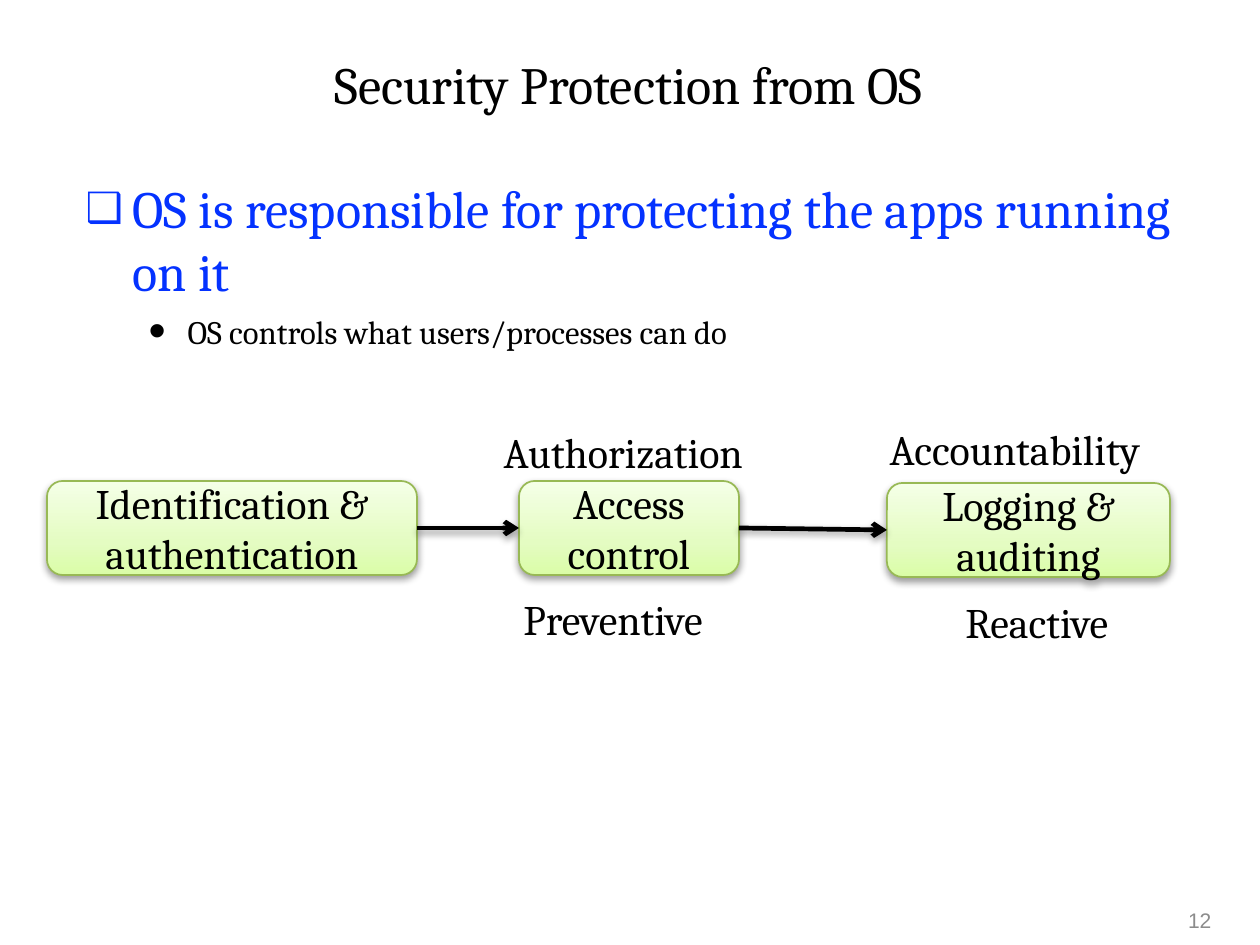
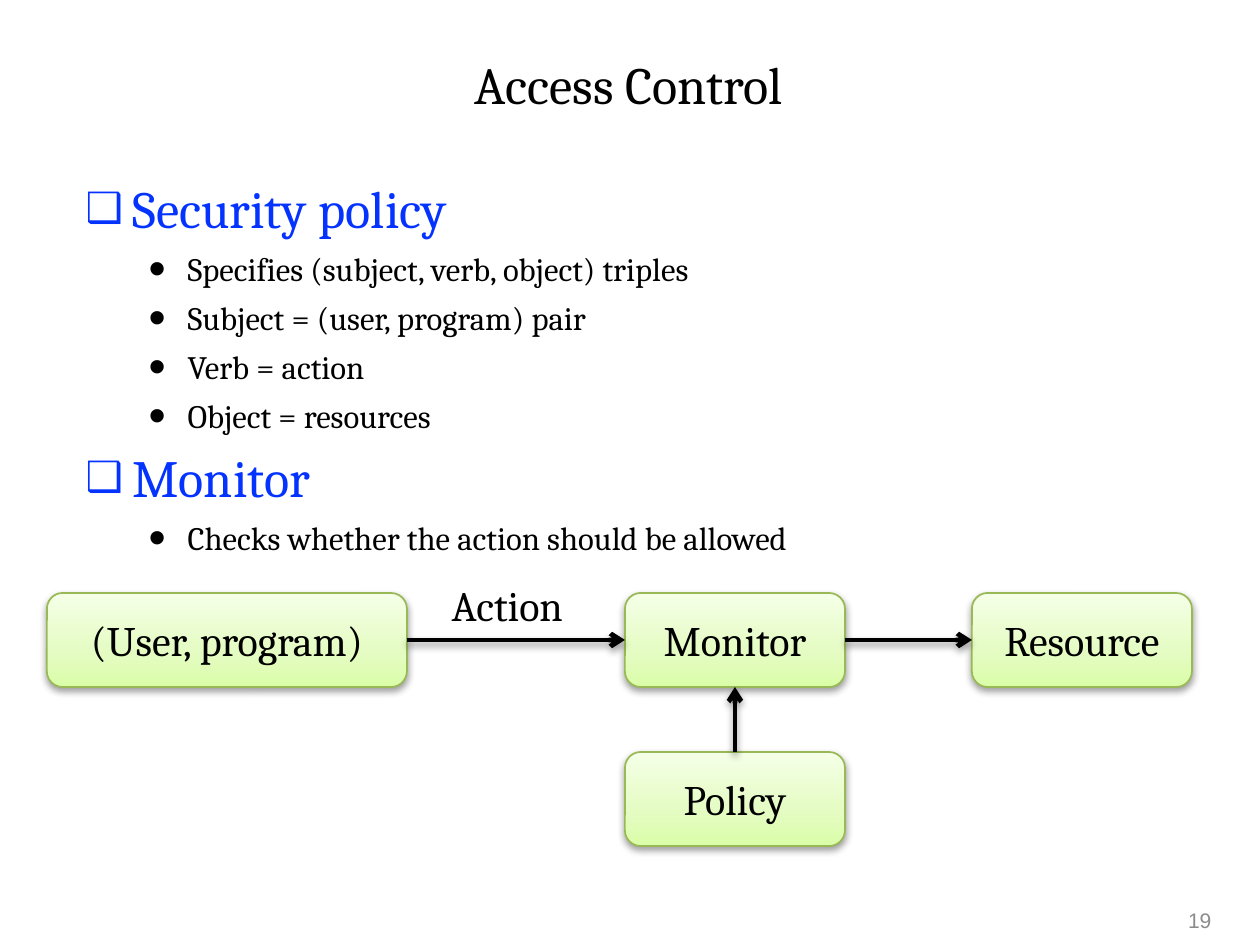
import copy
import dataclasses

import pptx
import pptx.dml.color
import pptx.enum.shapes
import pptx.enum.text
import pptx.oxml
import pptx.oxml.ns
import pptx.util

EMU_PER_PX = 914400 // 168
LEFT, TOP, RIGHT, BOTTOM = 1, 0, 3, 2
ALIGN = pptx.enum.text.PP_ALIGN
ANCHOR = pptx.enum.text.MSO_ANCHOR
STEP_HEIGHT = 94


@dataclasses.dataclass(frozen=True)
class Theme:
    """Colours, fonts and type sizes shared by the slides."""
    serif: str = "Cambria"
    sans: str = "Arial"
    ink: str = "000000"
    heading: str = "0432FF"
    muted: str = "8C8C8C"
    edge: str = "98B955"
    stops: tuple = ((0, "DAFDA7"), (0.35, "E4FCC2"), (1, "F5FFE7"))
    title_size: float = 22.4
    point_size: float = 14
    label_size: float = 18
    number_size: float = 9


THEME = Theme()
LEVELS = (
    dict(size=THEME.title_size, color=THEME.heading, space=4.5,
         margin=47, hang=47, bullet="❑", scale=80),
    dict(size=THEME.point_size, color=THEME.ink, space=4.2,
         margin=102, hang=39, bullet="•", scale=150),
)


def px(value):
    """Turn whole pixels into EMU."""
    return pptx.util.Emu(value * EMU_PER_PX)


def rgb(value):
    """Turn a hex string into a colour."""
    return pptx.dml.color.RGBColor.from_string(value)


def assign(target, values):
    """Set each named attribute on the target."""
    for name, value in values.items():
        setattr(target, name, value)


def element(tag, **attributes):
    """Make a drawing element with the given attributes."""
    node = pptx.oxml.parse_xml(f"<a:{tag} {pptx.oxml.ns.nsdecls('a')}/>")
    for name, value in attributes.items():
        node.set(name, str(value))
    return node


def child(shape, tag):
    """Find a drawing element inside the shape."""
    return shape.element.find(".//" + pptx.oxml.ns.qn("a:" + tag))


def write(para, text, size, color=THEME.ink, font=THEME.serif):
    """Put styled text into a paragraph."""
    span = para.add_run()
    span.text = text
    assign(span.font, dict(name=font, size=pptx.util.Pt(size)))
    span.font.color.rgb = rgb(color)


def add_text(page, area, text, size, align=ALIGN.LEFT, frame=None, **style):
    """Add a one-paragraph text box."""
    box = page.shapes.add_textbox(*map(px, area))
    assign(box.text_frame, dict(word_wrap=True) | (frame or {}))
    para = box.text_frame.paragraphs[0]
    para.alignment = align
    write(para, text, size, **style)


def add_label(page, left, top, width, text):
    """Add an unwrapped diagram label."""
    frame = dict(word_wrap=False, auto_size=pptx.enum.text.MSO_AUTO_SIZE.SHAPE_TO_FIT_TEXT)
    add_text(page, (left, top, width, 67), text, THEME.label_size, frame=frame)


def add_outline(page, items):
    """Add the two-level bulleted text."""
    box = page.shapes.add_textbox(*map(px, (69, 168, 1144, 744)))
    box.text_frame.word_wrap = True
    for index, (depth, text) in enumerate(items):
        level = LEVELS[depth]
        para = box.text_frame.add_paragraph() if index else box.text_frame.paragraphs[0]
        para.level = depth
        layout = para._p.get_or_add_pPr()
        layout.set("marL", str(px(level["margin"])))
        layout.set("indent", str(px(-level["hang"])))
        layout.append(element("buSzPct", val=level["scale"] * 1000))
        layout.append(element("buFont", typeface=THEME.sans))
        layout.append(element("buChar", char=level["bullet"]))
        para.space_before = pptx.util.Pt(level["space"] if index else 0)
        write(para, text, level["size"], level["color"])


def add_shadow(shape):
    """Give a shape or connector the soft drop shadow."""
    effects = element("effectLst")
    shadow = element("outerShdw", blurRad=40000, dist=20000, dir=5400000, rotWithShape=0)
    color = element("srgbClr", val=THEME.ink)
    color.append(element("alpha", val=38000))
    shadow.append(color)
    effects.append(shadow)
    child(shape, "ln").addnext(effects)


def add_step(page, left, top, width, text):
    """Add a rounded green box of the diagram."""
    step = page.shapes.add_shape(pptx.enum.shapes.MSO_SHAPE.ROUNDED_RECTANGLE,
                                 *map(px, (left, top, width, STEP_HEIGHT)))
    step.fill.gradient()
    step.fill.gradient_angle = 90
    stops = child(step, "gsLst")
    stops.append(copy.deepcopy(stops[0]))
    for stop, (position, color) in zip(step.fill.gradient_stops, THEME.stops):
        stop.position = position
        stop.color.rgb = rgb(color)
    step.line.color.rgb = rgb(THEME.edge)
    step.line.width = pptx.util.Pt(0.75)
    add_shadow(step)
    assign(step.text_frame, dict(word_wrap=True, vertical_anchor=ANCHOR.MIDDLE))
    para = step.text_frame.paragraphs[0]
    para.alignment = ALIGN.CENTER
    write(para, text, THEME.label_size)
    return step


def add_arrow(page, start, end, start_site=RIGHT, end_site=LEFT):
    """Join two steps with an arrow."""
    arrow = page.shapes.add_connector(pptx.enum.shapes.MSO_CONNECTOR.STRAIGHT, 0, 0, 0, 0)
    arrow.begin_connect(start, start_site)
    arrow.end_connect(end, end_site)
    arrow.line.color.rgb = rgb(THEME.ink)
    arrow.line.width = pptx.util.Pt(2)
    child(arrow, "ln").append(element("tailEnd", type="arrow"))
    add_shadow(arrow)


def add_page(deck, title, number, items):
    """Add a slide with its title, outline and page number."""
    page = deck.slides.add_slide(deck.slide_layouts[6])
    middle = dict(vertical_anchor=ANCHOR.MIDDLE)
    flush = dict.fromkeys(("margin_left", "margin_top", "margin_right", "margin_bottom"), 0)
    add_text(page, (13, 30, 1232, 108), title, THEME.title_size, ALIGN.CENTER, middle | flush)
    add_outline(page, items)
    add_text(page, (934, 895, 294, 50), number, THEME.number_size, ALIGN.RIGHT, middle,
             color=THEME.muted, font=THEME.sans)
    return page


def add_protection(deck):
    """Build the slide on protection by the system."""
    page = add_page(deck, "Security Protection from OS", "12", (
        (0, "OS is responsible for protecting the apps running on it"),
        (1, "OS controls what users/processes can do"),
    ))
    identify = add_step(page, 47, 481, 370, "Identification & authentication")
    control = add_step(page, 519, 481, 220, "Access control")
    audit = add_step(page, 887, 483, 283, "Logging & auditing")
    add_arrow(page, identify, control)
    add_arrow(page, control, audit)
    for label in ((873, 415, 318, "Accountability"), (949, 588, 202, "Reactive"),
                  (507, 585, 245, "Preventive"), (487, 418, 307, "Authorization")):
        add_label(page, *label)


def add_access(deck):
    """Build the slide on access control."""
    page = add_page(deck, "Access Control", "19", (
        (0, "Security policy"),
        (1, "Specifies (subject, verb, object) triples"),
        (1, "Subject = (user, program) pair"),
        (1, "Verb = action"),
        (1, "Object = resources"),
        (0, "Monitor"),
        (1, "Checks whether the action should be allowed"),
    ))
    subject = add_step(page, 47, 593, 360, "(User, program)")
    monitor = add_step(page, 625, 593, 220, "Monitor")
    resource = add_step(page, 972, 593, 220, "Resource")
    policy = add_step(page, 625, 752, 220, "Policy")
    add_arrow(page, subject, monitor)
    add_arrow(page, monitor, resource)
    add_arrow(page, policy, monitor, TOP, BOTTOM)
    add_label(page, 435, 571, 160, "Action")


def main():
    """Build and save the deck."""
    deck = pptx.Presentation()
    assign(deck, dict(slide_width=px(1260), slide_height=px(945)))
    add_protection(deck)
    add_access(deck)
    deck.save("out.pptx")


if __name__ == "__main__":
    main()
